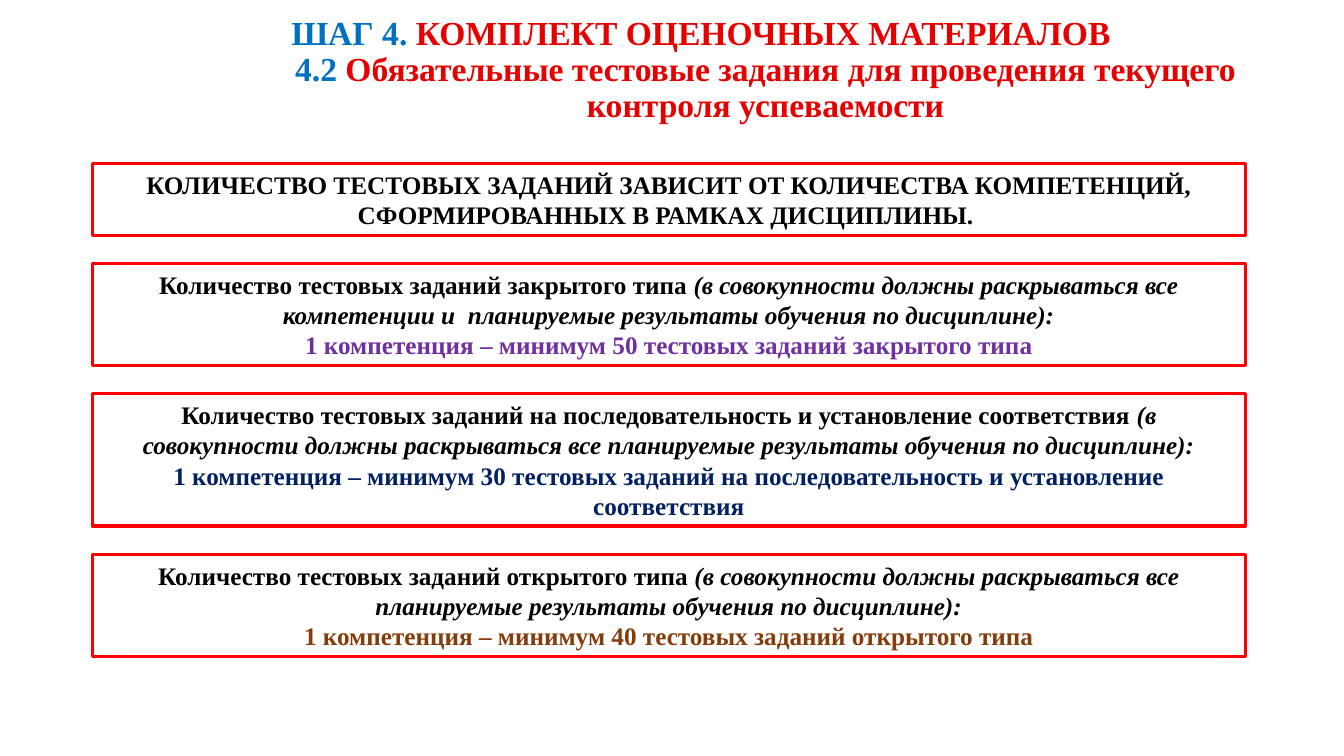
from pptx import Presentation
from pptx.dml.color import RGBColor
from pptx.enum.shapes import MSO_SHAPE
from pptx.enum.text import MSO_ANCHOR, PP_ALIGN
from pptx.util import Pt

RECTANGLE = MSO_SHAPE.RECTANGLE
MIDDLE = MSO_ANCHOR.MIDDLE
LEFT, CENTER = PP_ALIGN.LEFT, PP_ALIGN.CENTER

EMU_PER_PX = 9525
FONT = "Times New Roman"
COLORS = {
    "border": "FF0000",
    "text": "000000",
    "step": "0070C0",
    "title": "E60000",
    "closed": "7030A0",
    "matching": "002060",
    "open": "843C0B",
}

BOX_LEFT, BOX_TOP, BOX_WIDTH = 88, 156, 1098
BOX_GAP, BOX_PADDING, LINE_HEIGHT = 27, 10, 29

TITLE = [
    (LEFT, [("ШАГ 4. ", "step", False),
            ("КОМПЛЕКТ ОЦЕНОЧНЫХ МАТЕРИАЛОВ", "title", False)]),
    (CENTER, [("4.2", "step", False),
              (" Обязательные тестовые задания для проведения текущего "
               "контроля успеваемости", "title", False)]),
]
INTRO = ("КОЛИЧЕСТВО ТЕСТОВЫХ ЗАДАНИЙ ЗАВИСИТ ОТ КОЛИЧЕСТВА КОМПЕТЕНЦИЙ, "
         "СФОРМИРОВАННЫХ В РАМКАХ ДИСЦИПЛИНЫ. ")
TASK_TYPES = [
    (3, "закрытого типа", "компетенции и  планируемые", 50, "closed"),
    (4, "на последовательность и установление соответствия", "планируемые", 30, "matching"),
    (3, "открытого типа", "планируемые", 40, "open"),
]


def px(length):
    """Convert pixels to EMU."""
    return length * EMU_PER_PX


def rgb(name):
    """Look up a named colour."""
    return RGBColor.from_string(COLORS[name])


def write_paragraphs(frame, paragraphs, size, spacing=1.0):
    """Fill a text frame with bold paragraphs of coloured runs."""
    frame.word_wrap = True
    frame.vertical_anchor = MIDDLE
    for index, (alignment, runs) in enumerate(paragraphs):
        paragraph = frame.add_paragraph() if index else frame.paragraphs[0]
        paragraph.alignment = alignment
        paragraph.line_spacing = spacing
        paragraph.font.name = FONT
        paragraph.font.size = Pt(size)
        paragraph.font.bold = True
        for text, color, italic in runs:
            run = paragraph.add_run()
            run.text = text
            run.font.color.rgb = rgb(color)
            run.font.italic = italic


def add_title(slide):
    """Add the two-part slide heading."""
    title = slide.shapes.add_textbox(px(268), px(20), px(922), px(94))
    write_paragraphs(title.text_frame, TITLE, 24, 0.9)


def add_box(slide, top, height, paragraphs):
    """Add a red-bordered box with centred text."""
    box = slide.shapes.add_shape(RECTANGLE, px(BOX_LEFT), px(top), px(BOX_WIDTH), px(height))
    box.shadow.inherit = False
    box.fill.background()
    box.line.color.rgb = rgb("border")
    box.line.width = Pt(2.25)
    write_paragraphs(box.text_frame, paragraphs, 18)


def task_paragraphs(task_type, coverage, minimum, color):
    """Compose the requirement and the minimum for one task type."""
    return [
        (CENTER, [(f"Количество тестовых заданий {task_type} ", "text", False),
                  (f"(в совокупности должны раскрываться все {coverage} "
                   "результаты обучения по дисциплине):", "text", True)]),
        (CENTER, [(f"1 компетенция – минимум {minimum} тестовых заданий {task_type}",
                   color, False)]),
    ]


def main():
    """Build and save the slide."""
    deck = Presentation()
    deck.slide_width, deck.slide_height = px(1280), px(720)
    slide = deck.slides.add_slide(deck.slide_layouts[6])
    add_title(slide)

    boxes = [(2, [(CENTER, [(INTRO, "text", False)])])]
    boxes += [(lines, task_paragraphs(*task)) for lines, *task in TASK_TYPES]
    top = BOX_TOP
    for lines, paragraphs in boxes:
        height = BOX_PADDING + lines * LINE_HEIGHT
        add_box(slide, top, height, paragraphs)
        top += height + BOX_GAP

    deck.save("out.pptx")


if __name__ == "__main__":
    main()
